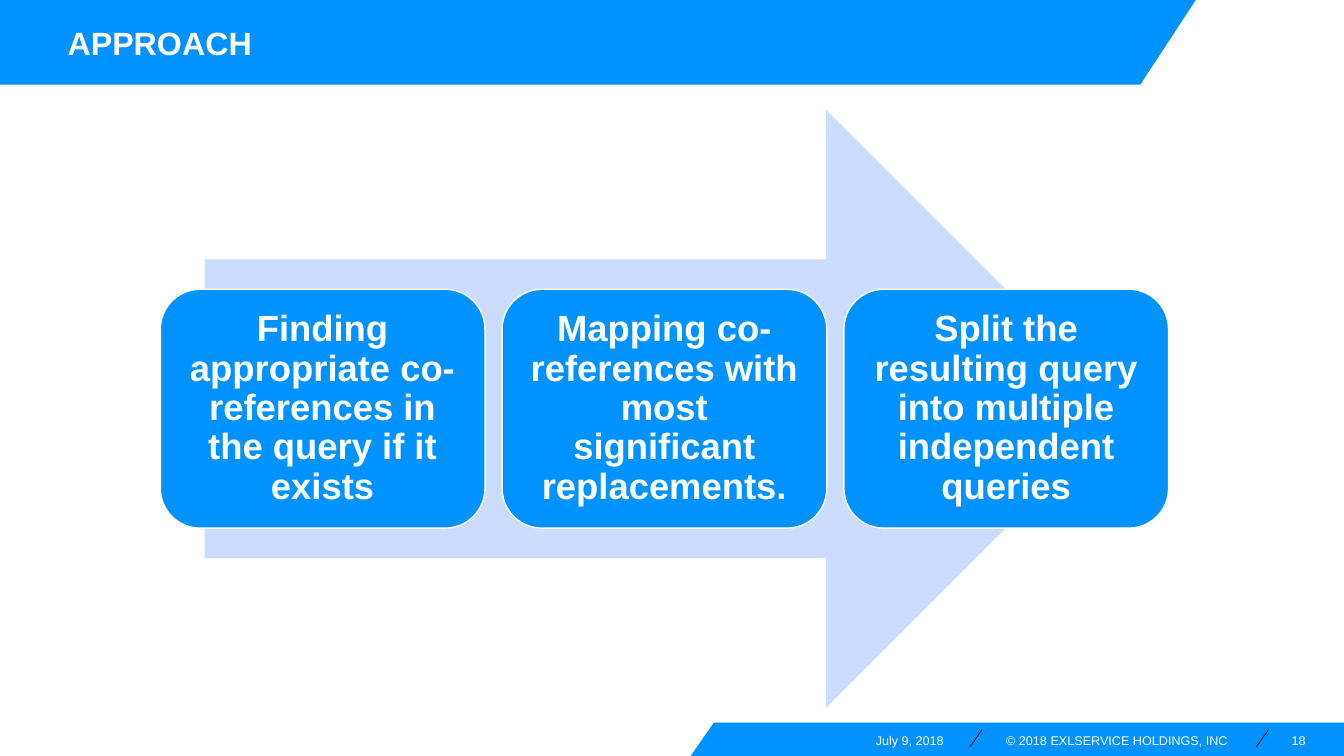
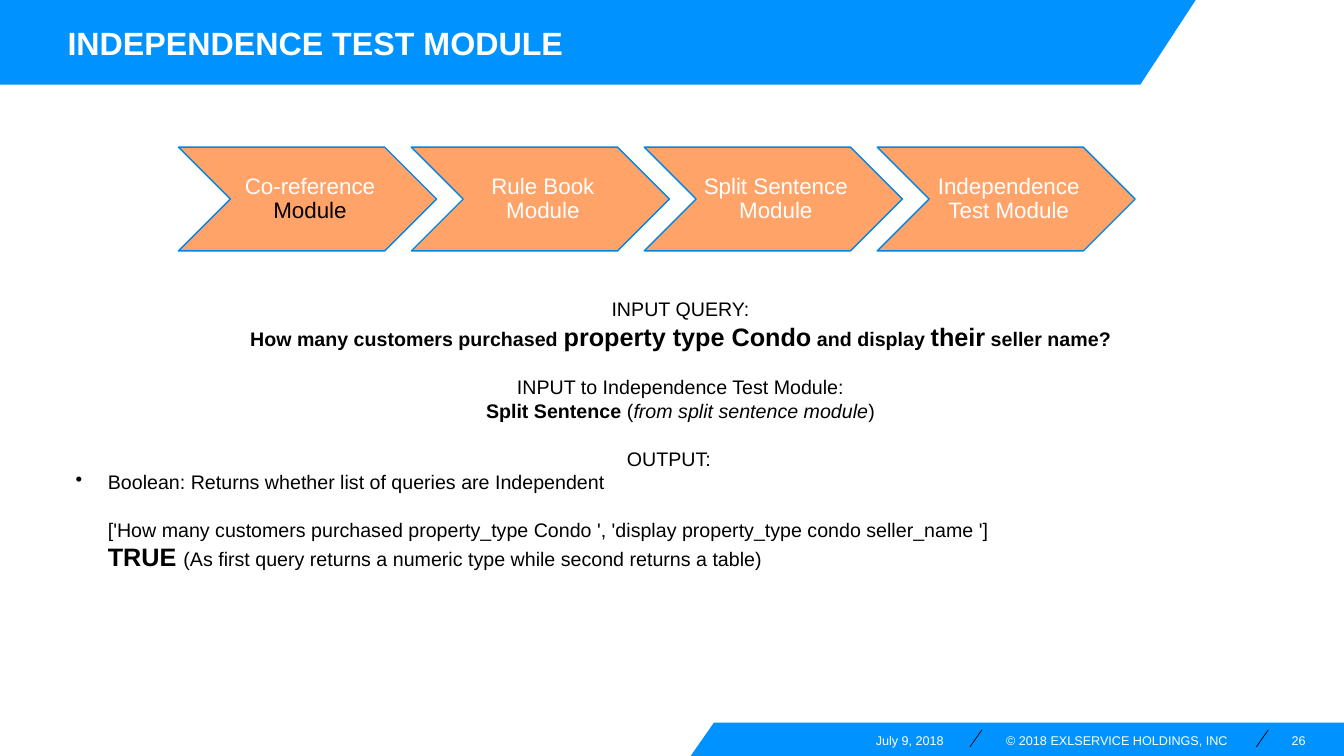
import pptx
import pptx.dml.color
import pptx.enum.shapes
import pptx.enum.text
import pptx.oxml.xmlchemy
import pptx.util

Inches = pptx.util.Inches
Pt = pptx.util.Pt
RGBColor = pptx.dml.color.RGBColor
MSO_SHAPE = pptx.enum.shapes.MSO_SHAPE
MSO_CONNECTOR = pptx.enum.shapes.MSO_CONNECTOR
MSO_ANCHOR = pptx.enum.text.MSO_ANCHOR
PP_ALIGN = pptx.enum.text.PP_ALIGN
OxmlElement = pptx.oxml.xmlchemy.OxmlElement

FONT = "Arial"
COLORS = {
    "blue": "0093FF",
    "outline": "0085E7",
    "pale": "CCDCFF",
    "orange": "FFA368",
    "white": "FFFFFF",
    "black": "000000",
}


def paint(shape, fill, line=None):
    """Give a shape a flat fill and an optional 1 pt outline."""
    shape.shadow.inherit = False
    shape.fill.solid()
    shape.fill.fore_color.rgb = RGBColor.from_string(COLORS[fill])
    if line:
        shape.line.color.rgb = RGBColor.from_string(COLORS[line])
        shape.line.width = Pt(1)
    else:
        shape.line.fill.background()


def write(shape, paragraphs, size, color, align=PP_ALIGN.LEFT, margins=(0, 0, 0, 0),
          anchor=MSO_ANCHOR.TOP):
    """Fill a shape with paragraphs, each a list of (text, run font settings)."""
    frame = shape.text_frame
    frame.word_wrap = True
    frame.vertical_anchor = anchor
    (frame.margin_left, frame.margin_top,
     frame.margin_right, frame.margin_bottom) = [Inches(margin) for margin in margins]
    for index, spans in enumerate(paragraphs):
        para = frame.paragraphs[0] if index == 0 else frame.add_paragraph()
        para.alignment = align
        for text, settings in spans:
            span = para.add_run()
            span.text = text
            span.font.name = FONT
            span.font.size = Pt(settings.get("size", size))
            span.font.bold = settings.get("bold", False)
            span.font.italic = settings.get("italic", False)
            span.font.color.rgb = RGBColor.from_string(COLORS[settings.get("color", color)])


deck = pptx.Presentation()
deck.slide_width = Inches(13.33)
deck.slide_height = Inches(7.5)

BOLD = {"bold": True}
BIG = {"bold": True, "size": 18}

# Bands, title and footer on every slide
BANDS = [
    [(7.08, 7.17), (13.33, 7.17), (13.33, 7.5), (6.85, 7.5)],
    [(0, 0), (11.86, 0), (11.31, 0.84), (0, 0.84)],
]
pages = []
for title, number in [("APPROACH", "18"), ("INDEPENDENCE TEST MODULE", "26")]:
    page = deck.slides.add_slide(deck.slide_layouts[6])
    pages.append(page)
    for corners in BANDS:
        points = [(Inches(x), Inches(y)) for x, y in corners]
        outline = page.shapes.build_freeform(*points[0], scale=1.0)
        outline.add_line_segments(points[1:], close=True)
        paint(outline.convert_to_shape(), "blue")
    for left in (9.62, 12.46):
        slash = page.shapes.add_connector(MSO_CONNECTOR.STRAIGHT, Inches(left + 0.12),
                                          Inches(7.24), Inches(left), Inches(7.41))
        slash.line.color.rgb = RGBColor.from_string(COLORS["black"])
        slash.line.width = Pt(0.5)
        slash._element.spPr.append(OxmlElement("a:effectLst"))
    for left, width, text, align in [
        (7.09, 2.27, "July 9, 2018", PP_ALIGN.RIGHT),
        (9.98, 2.27, "© 2018 EXLSERVICE HOLDINGS, INC", PP_ALIGN.LEFT),
        (12.58, 0.37, number, PP_ALIGN.RIGHT),
    ]:
        box = page.shapes.add_textbox(Inches(left), Inches(7.27), Inches(width), Inches(0.15))
        write(box, [[(text, {})]], 9, "white", align)
    box = page.shapes.add_textbox(Inches(0.67), Inches(0.1), Inches(10.53), Inches(0.64))
    write(box, [[(title, BOLD)]], 23, "white", anchor=MSO_ANCHOR.MIDDLE)

approach, independence = pages

# Approach: three steps on an arrow
arrow = approach.shapes.add_shape(MSO_SHAPE.RIGHT_ARROW, Inches(2.03), Inches(1.09),
                                  Inches(9.13), Inches(5.93))
paint(arrow, "pale")
STEPS = [
    "Finding appropriate co-references in the query if it exists",
    "Mapping co-references with most significant replacements.",
    "Split the resulting query into multiple independent queries",
]
for index, text in enumerate(STEPS):
    card = approach.shapes.add_shape(MSO_SHAPE.ROUNDED_RECTANGLE, Inches(1.59 + 3.39 * index),
                                     Inches(2.87), Inches(3.22), Inches(2.37))
    paint(card, "blue", "white")
    write(card, [[(text, BOLD)]], 26, "white", PP_ALIGN.CENTER, (0.11,) * 4, MSO_ANCHOR.MIDDLE)
    card.text_frame.paragraphs[0].line_spacing = 0.9

# Independence test: chain of modules
MODULES = [
    [("Co-reference ", {}), ("Module", {"color": "black"})],
    [("Rule Book Module", {})],
    [("Split Sentence Module", {})],
    [("Independence Test Module", {})],
]
for index, spans in enumerate(MODULES):
    chevron = independence.shapes.add_shape(MSO_SHAPE.CHEVRON, Inches(1.77 + 2.31 * index),
                                            Inches(1.46), Inches(2.56), Inches(1.03))
    paint(chevron, "orange", "outline")
    write(chevron, [spans], 16, "white", PP_ALIGN.CENTER, (0.07, 0.02, 0.02, 0.02),
          MSO_ANCHOR.MIDDLE)
    chevron.text_frame.paragraphs[0].line_spacing = 0.9

# Independence test: input and output
query = independence.shapes.add_textbox(Inches(0.75), Inches(2.95), Inches(12), Inches(1.25))
write(query, [
    [("INPUT QUERY:", {})],
    [("How many customers purchased ", BOLD), ("property type Condo", BIG),
     (" and display ", BOLD), ("their", BIG), (" seller name?", BOLD)],
    [("INPUT to Independence Test Module:", {})],
    [("Split Sentence ", BOLD), ("(", {}), ("from split sentence module", {"italic": True}),
     (")", {})],
], 14, "black", PP_ALIGN.CENTER)
query.text_frame.paragraphs[2].space_before = Pt(17)

output = independence.shapes.add_textbox(Inches(0.75), Inches(4.43), Inches(11.77), Inches(1.95))
write(output, [
    [("OUTPUT:", {})],
    [("Boolean: Returns whether list of queries are Independent", {})],
    [("['How many customers purchased property_type Condo ', "
      "'display property_type condo seller_name ']", {})],
    [("TRUE ", BIG), ("(As first query returns a numeric type while second returns a table)", {})],
], 14, "black")
heading, bullet, queries, verdict = output.text_frame.paragraphs
heading.alignment = PP_ALIGN.CENTER
queries.space_before = Pt(17)
for para in (bullet, queries, verdict):
    para._p.get_or_add_pPr().set("marL", str(Inches(0.32)))
properties = bullet._p.get_or_add_pPr()
properties.set("indent", str(Inches(-0.32)))
mark = OxmlElement("a:buChar")
mark.set("char", "•")
properties.append(mark)

deck.save("out.pptx")
